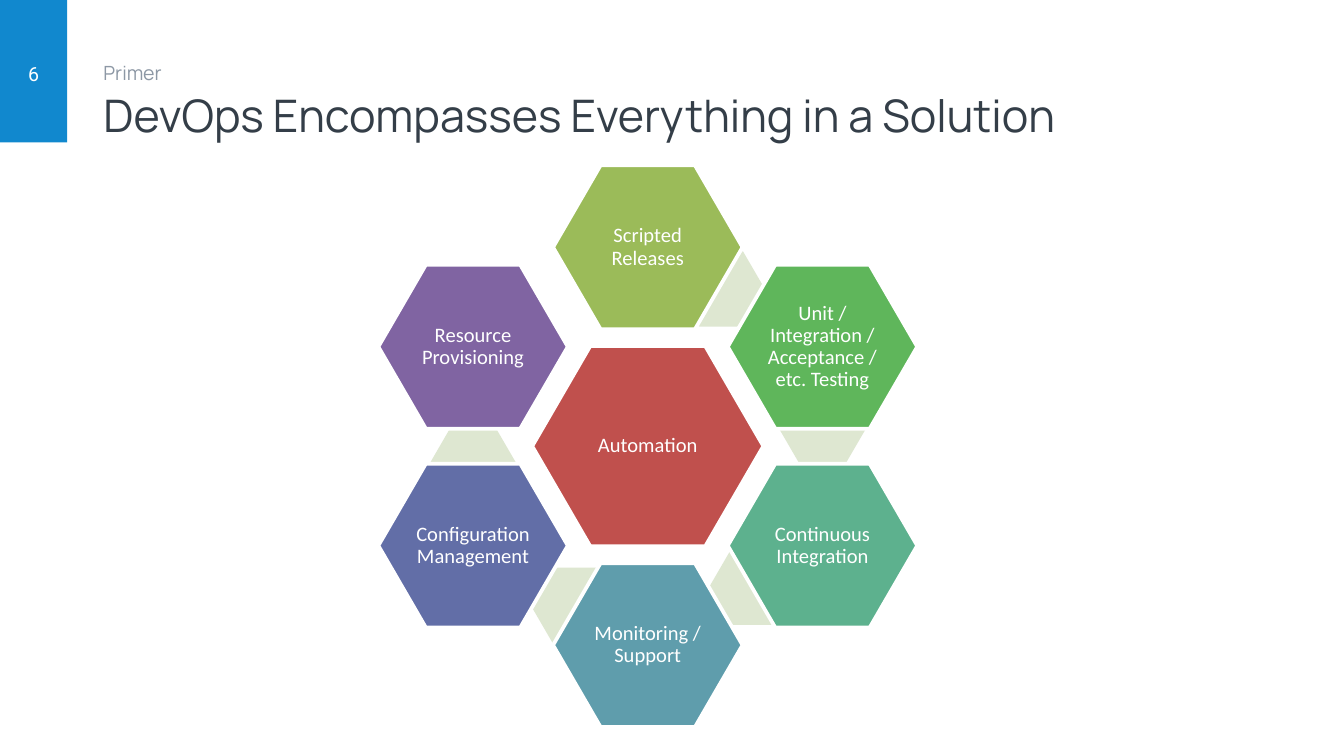
from lxml.etree import SubElement
from pptx import Presentation
from pptx.dml.color import RGBColor
from pptx.enum.shapes import MSO_SHAPE
from pptx.enum.text import MSO_ANCHOR, MSO_AUTO_SIZE, PP_ALIGN
from pptx.oxml.ns import qn
from pptx.util import Inches, Pt

WIDE = 10
HIGH = WIDE * 9 / 16
MID_X, MID_Y = 4.82, 3.32
COL, ROW = 1.3, 0.74
HUB, PETAL, LINK = (1.72, 1.49), (1.41, 1.22), (0.65, 0.56)

WHITE = RGBColor(0xFF, 0xFF, 0xFF)
BLUE = RGBColor(0x11, 0x88, 0xCE)
INK = RGBColor(0x34, 0x3E, 0x48)
GREY = RGBColor(0x8D, 0x98, 0xA5)
PALE = RGBColor(0xDE, 0xE7, 0xD1)
RED = RGBColor(0xC0, 0x50, 0x4D)
OLIVE = RGBColor(0x9B, 0xBB, 0x59)
GREEN = RGBColor(0x5F, 0xB6, 0x5B)
JADE = RGBColor(0x5D, 0xB1, 0x8E)
TEAL = RGBColor(0x5F, 0x9D, 0xAC)
NAVY = RGBColor(0x62, 0x6E, 0xA7)
PLUM = RGBColor(0x80, 0x64, 0xA2)

PETALS = [
    ("Scripted Releases", OLIVE, (0, -2), (0.42, -1.58)),
    ("Unit / Integration / Acceptance / etc. Testing", GREEN, (1, -1), (1, -0.18)),
    ("Continuous Integration", JADE, (1, 1), (0.6, 1.42)),
    ("Monitoring / Support", TEAL, (0, 2), (-0.42, 1.6)),
    ("Configuration Management", NAVY, (-1, 1), (-1, 0.18)),
    ("Resource Provisioning", PLUM, (-1, -1), None),
]


def write(shape, text, size=11, font="Calibri", color=WHITE, align=PP_ALIGN.CENTER,
          anchor=MSO_ANCHOR.MIDDLE, inset=None, lead=None):
    """Put one formatted paragraph into a shape."""
    frame = shape.text_frame
    frame.word_wrap = True
    frame.auto_size = MSO_AUTO_SIZE.NONE
    frame.vertical_anchor = anchor
    if inset is not None:
        frame.margin_left = frame.margin_right = Inches(inset)
        frame.margin_top = frame.margin_bottom = Inches(inset)
    para = frame.paragraphs[0]
    para.alignment = align
    para.line_spacing = lead
    run = para.add_run()
    run.text = text
    run.font.size = Pt(size)
    run.font.name = font
    run.font.color.rgb = color
    return para


def place(shape, left, top, width, height):
    """Move and size a placeholder."""
    shape.left, shape.top = Inches(left), Inches(top)
    shape.width, shape.height = Inches(width), Inches(height)


def add_heads(slide):
    """Fill the title and the small line above it."""
    title, body = slide.shapes.title, slide.placeholders[1]
    place(title, 0.67, 0.38, WIDE / 1.2, 0.94)
    write(title, "DevOps Encompasses Everything in a Solution", size=24,
          font="Manrope", color=INK, align=PP_ALIGN.LEFT)
    place(body, 0.67, 0.4, WIDE * 0.55, 0.35)
    para = write(body, "Primer", size=10.5, font="Manrope", color=GREY,
                 align=PP_ALIGN.LEFT, anchor=MSO_ANCHOR.TOP)
    props = para._p.get_or_add_pPr()
    props.set("marL", "0")
    props.set("indent", "0")
    SubElement(props, qn("a:buNone"))


def add_solid(slide, kind, box, fill):
    """Add a flat preset shape without a line."""
    shape = slide.shapes.add_shape(kind, *map(Inches, box))
    shape.shadow.inherit = False
    shape.fill.solid()
    shape.fill.fore_color.rgb = fill
    shape.line.fill.background()
    return shape


def add_badge(slide):
    """Add the blue corner with the page number."""
    side = WIDE / 20
    add_solid(slide, MSO_SHAPE.RECTANGLE, (0, 0, side, 1.06), BLUE)
    label = slide.shapes.add_textbox(0, Inches(0.4), Inches(side), Inches(0.3))
    write(label, "6", size=10.5, font="Roboto")


def add_hex(slide, spot, size, fill, text=None):
    """Add a hexagon centred on a grid spot, outlined if it has text."""
    width, height = size
    left = MID_X + spot[0] * COL - width / 2
    top = MID_Y + spot[1] * ROW - height / 2
    shape = add_solid(slide, MSO_SHAPE.HEXAGON, (left, top, width, height), fill)
    shape.adjustments[0] = 0.29
    if text:
        shape.line.color.rgb = WHITE
        shape.line.width = Pt(2)
        write(shape, text, inset=0.02, lead=0.9)


def main():
    """Build the slide and save it."""
    deck = Presentation()
    deck.slide_width, deck.slide_height = Inches(WIDE), Inches(HIGH)
    slide = deck.slides.add_slide(deck.slide_layouts[1])
    add_heads(slide)
    add_badge(slide)
    add_hex(slide, (0, 0), HUB, RED, "Automation")
    for text, fill, spot, link in PETALS:
        if link:
            add_hex(slide, link, LINK, PALE)
        add_hex(slide, spot, PETAL, fill, text)
    deck.save("out.pptx")


if __name__ == "__main__":
    main()
